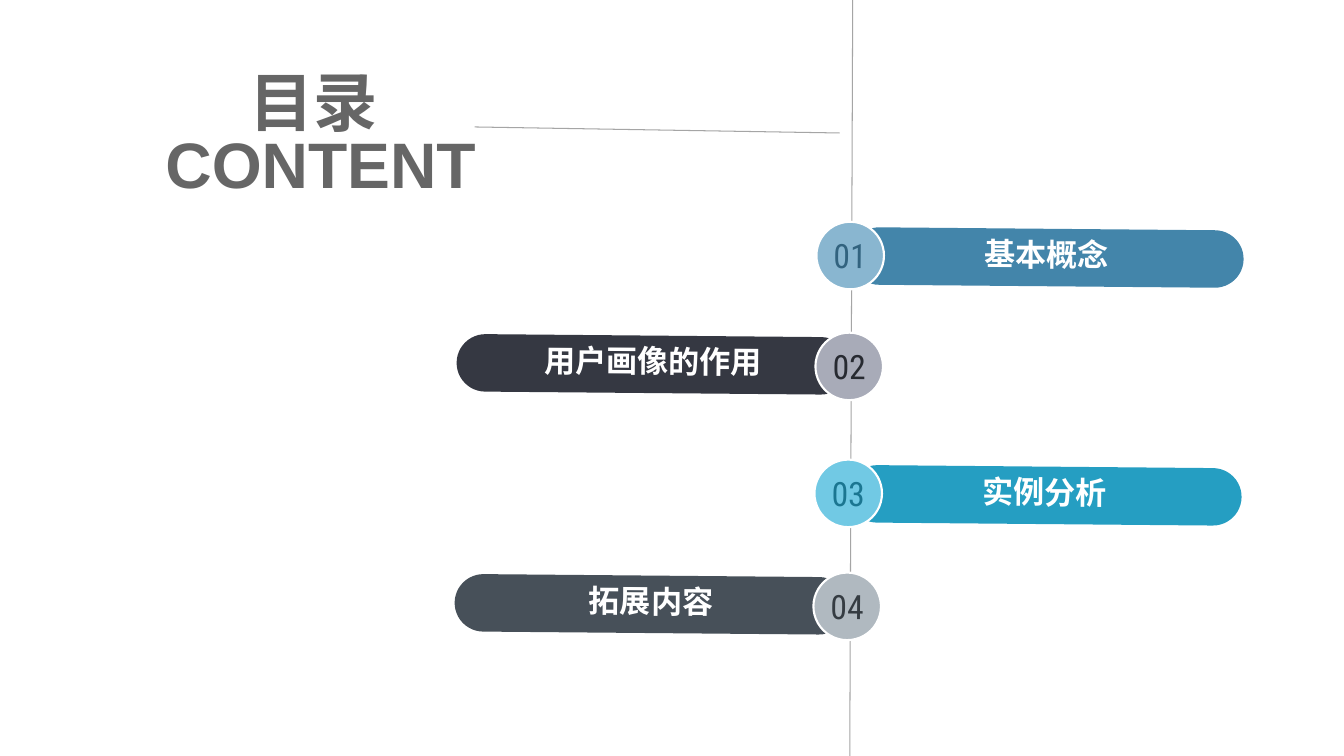
from dataclasses import dataclass

from lxml import etree
from pptx import Presentation
from pptx.dml.color import RGBColor
from pptx.enum.shapes import MSO_CONNECTOR, MSO_SHAPE
from pptx.enum.text import MSO_ANCHOR, MSO_AUTO_SIZE, PP_ALIGN
from pptx.oxml.ns import qn
from pptx.shapes.autoshape import Shape
from pptx.slide import Slide
from pptx.util import Pt

STRAIGHT = MSO_CONNECTOR.STRAIGHT
ELLIPSE = MSO_SHAPE.OVAL
ROUNDED = MSO_SHAPE.ROUNDED_RECTANGLE
MIDDLE = MSO_ANCHOR.MIDDLE
TOP = MSO_ANCHOR.TOP
NO_AUTOFIT = MSO_AUTO_SIZE.NONE
CENTER = PP_ALIGN.CENTER
TITLE_ONLY = 5


@dataclass(frozen=True)
class Theme:
    heading_font: str = "Arial"
    number_font: str = "Roboto Condensed"
    title_size: float = 45.9
    topic_size: float = 22.2
    number_size: float = 24
    title_color: str = "666666"
    white: str = "FFFFFF"
    line_color: str = "A5A5A5"


@dataclass(frozen=True)
class Topic:
    name: str
    badge_top: float
    bar_color: str
    badge_color: str
    number_color: str


@dataclass(frozen=True)
class Box:
    left: float
    top: float
    width: float
    height: float


@dataclass(frozen=True)
class TextStyle:
    font: str
    size: float
    color: str
    bold: bool
    line_spacing: float


THEME = Theme()
TITLE_STYLE = TextStyle(THEME.heading_font, THEME.title_size, THEME.title_color, True, 0.8)
TOPIC_STYLE = TextStyle(THEME.heading_font, THEME.topic_size, THEME.white, True, 0.8)

TOPICS = (
    Topic("基本概念", 158.4, "4385AA", "89B6D0", "32637F"),
    Topic("用户画像的作用", 237.6, "353842", "A8ABB8", "272A31"),
    Topic("实例分析", 328.3, "259EC2", "71C9E4", "1B7691"),
    Topic("拓展内容", 409, "475059", "B0B9C0", "353C42"),
)

TILT = 0.5
BADGE_SIZE = 48.24
FIRST_BADGE_LEFT = 583.2
BADGE_SHIFT = 0.72
BAR_WIDTH, BAR_HEIGHT = 280.8, 41.04
# Bar offsets from its badge: odd topics extend right, even topics left.
BAR_OFFSETS = ((24.3, 5.04), (-256.3, 2.16))


def write_text(shape: Shape, text: str, style: TextStyle, anchor: MSO_ANCHOR,
               side_inset: float, end_inset: float) -> None:
    frame = shape.text_frame
    frame.word_wrap = True
    frame.auto_size = NO_AUTOFIT
    frame.vertical_anchor = anchor
    frame.margin_left = frame.margin_right = Pt(side_inset)
    frame.margin_top = frame.margin_bottom = Pt(end_inset)
    frame.text = text
    paragraph = frame.paragraphs[0]
    paragraph.alignment = CENTER
    paragraph.line_spacing = style.line_spacing
    paragraph.font.name = style.font
    paragraph.font.size = Pt(style.size)
    paragraph.font.bold = style.bold
    paragraph.font.color.rgb = RGBColor.from_string(style.color)


def add_tilted_shape(slide: Slide, kind: MSO_SHAPE, box: Box, fill: str) -> Shape:
    shape = slide.shapes.add_shape(
        kind, Pt(box.left), Pt(box.top), Pt(box.width), Pt(box.height))
    shape.rotation = TILT
    shape.shadow.inherit = False
    shape.fill.solid()
    shape.fill.fore_color.rgb = RGBColor.from_string(fill)
    return shape


def add_thin_line(slide: Slide, start: tuple[float, float], end: tuple[float, float]) -> None:
    connector = slide.shapes.add_connector(
        STRAIGHT, Pt(start[0]), Pt(start[1]), Pt(end[0]), Pt(end[1]))
    connector.line.color.rgb = RGBColor.from_string(THEME.line_color)
    connector.line.width = Pt(0.75)
    etree.SubElement(connector._element.spPr, qn("a:effectLst"))


def add_topic(slide: Slide, index: int, topic: Topic) -> None:
    badge_left = FIRST_BADGE_LEFT - index * BADGE_SHIFT
    offset_x, offset_y = BAR_OFFSETS[index % 2]

    bar_box = Box(badge_left + offset_x, topic.badge_top + offset_y, BAR_WIDTH, BAR_HEIGHT)
    bar = add_tilted_shape(slide, ROUNDED, bar_box, topic.bar_color)
    bar.adjustments[0] = 0.5
    bar.line.fill.background()
    write_text(bar, topic.name, TOPIC_STYLE, MIDDLE, 7.2, 3.6)

    badge_box = Box(badge_left, topic.badge_top, BADGE_SIZE, BADGE_SIZE)
    badge = add_tilted_shape(slide, ELLIPSE, badge_box, topic.badge_color)
    badge.line.color.rgb = RGBColor.from_string(THEME.white)
    badge.line.width = Pt(1.5)
    number_style = TextStyle(
        THEME.number_font, THEME.number_size, topic.number_color, False, 1.0)
    write_text(badge, f"{index + 1:02}", number_style, MIDDLE, 0, 0)


def add_title(slide: Slide) -> None:
    title = slide.shapes.title
    title.left, title.top = Pt(92.9), Pt(51.8)
    title.width, title.height = Pt(272.2), Pt(101.5)
    write_text(title, "目录 \vCONTENT", TITLE_STYLE, TOP, 7.2, 3.6)


def main() -> None:
    presentation = Presentation()
    presentation.slide_width = Pt(960)
    presentation.slide_height = Pt(540)
    slide = presentation.slides.add_slide(presentation.slide_layouts[TITLE_ONLY])
    add_title(slide)
    add_thin_line(slide, (609.1, 0), (607, 540))
    for index, topic in enumerate(TOPICS):
        add_topic(slide, index, topic)
    add_thin_line(slide, (339.1, 90.7), (599.8, 95))
    presentation.save("out.pptx")


if __name__ == "__main__":
    main()
